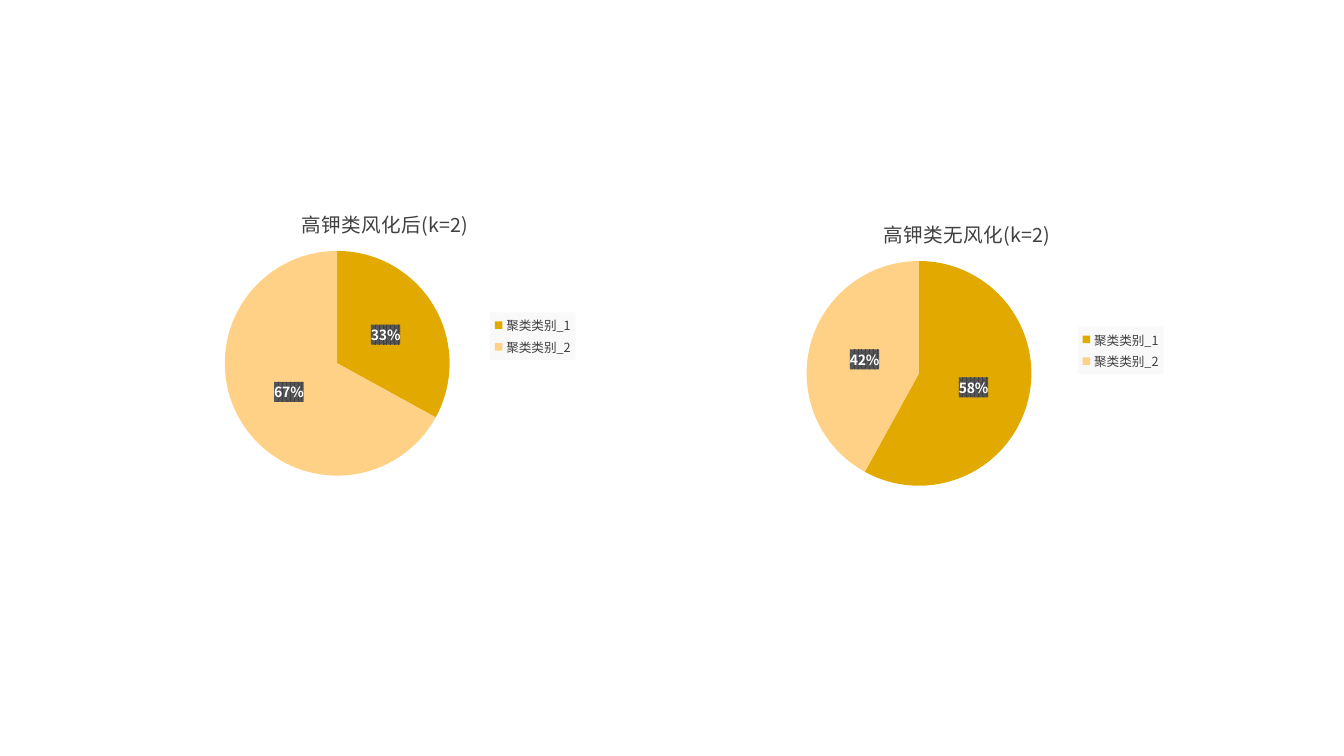
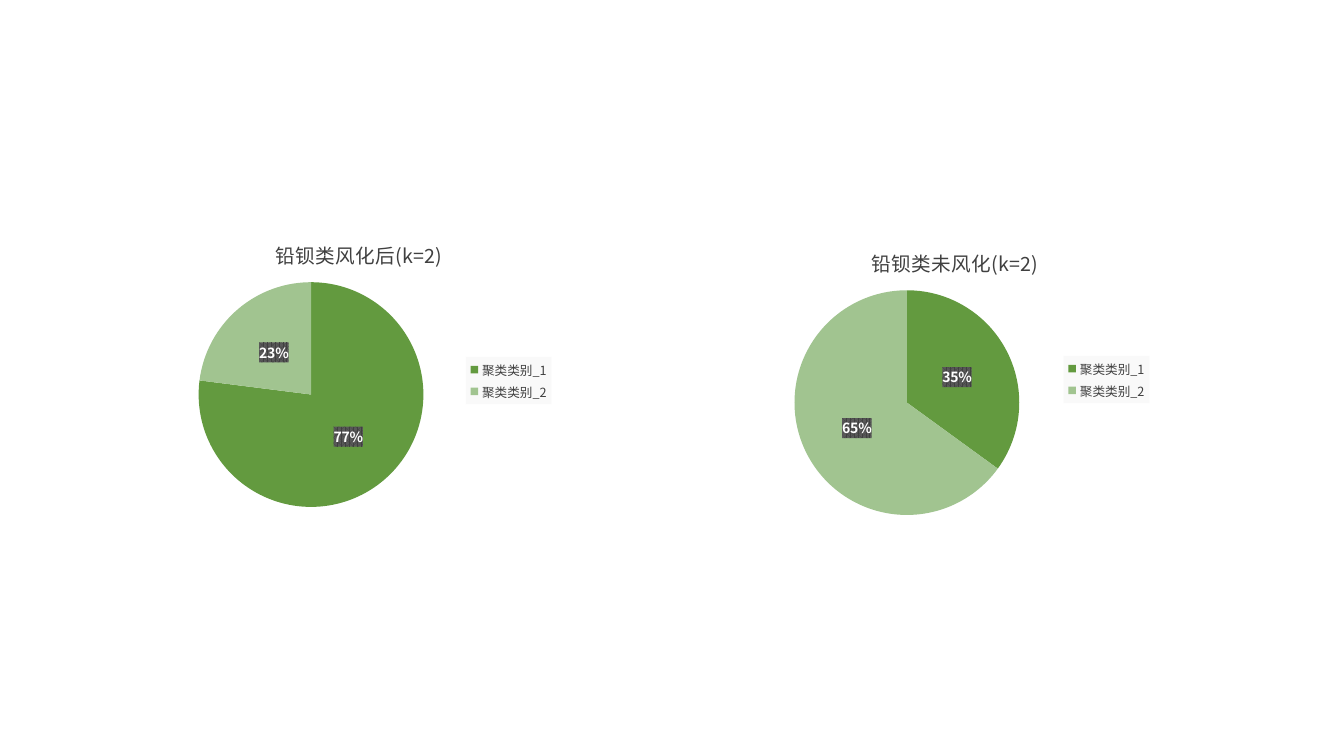
from lxml.etree import SubElement
from pptx import Presentation
from pptx.chart.data import CategoryChartData
from pptx.dml.color import RGBColor
from pptx.enum.chart import XL_CHART_TYPE, XL_LABEL_POSITION, XL_LEGEND_POSITION
from pptx.oxml import parse_xml
from pptx.oxml.ns import nsdecls, qn
from pptx.util import Inches, Pt

FONT = "Noto Sans CJK SC"
COLORS = {
    "text": "404040",
    "label": "FFFFFF",
    "label_back": "595959",
    "legend_back": "F9F9F9",
    "gold": "E2AA00",
    "light_gold": "FFD187",
    "green": "639A3F",
    "light_green": "A1C490",
}
CLUSTERS = ("聚类类别_1", "聚类类别_2")

# Chart: title, percentages, left and top on the slide, legend's left and top in the chart
SLIDES = [
    {
        "slices": ("gold", "light_gold"),
        "charts": [
            ("高钾类风化后(k=2)", (33, 67), (1.33, 1.86), (3.53, 1.24)),
            ("高钾类无风化(k=2)", (58, 42), (7.1, 1.96), (3.59, 1.28)),
        ],
    },
    {
        "slices": ("green", "light_green"),
        "charts": [
            ("铅钡类风化后(k=2)", (77, 23), (1.07, 2.17), (3.55, 1.37)),
            ("铅钡类未风化(k=2)", (35, 65), (6.98, 2.25), (3.57, 1.28)),
        ],
    },
]

CHART_W, CHART_H = 5, 3
PIE_AT, PIE_SIZE = (0.9, 0.63), (2.23, 2.23)
TITLE_AT = (1.63, 0.16)
LEGEND_SIZE = (0.85, 0.47)


def rgb(name):
    return RGBColor.from_string(COLORS[name])


def style(font, size, color, bold=False):
    font.name, font.size, font.bold = FONT, Pt(size), bold
    font.color.rgb = rgb(color)


def manual_layout(at, size=(), inner=False):
    """Layout element for a chart part, given in inches from the chart's corner."""
    layout = parse_xml(f"<c:layout {nsdecls('c')}><c:manualLayout/></c:layout>")
    settings = [("layoutTarget", "inner")] if inner else []
    settings += [("xMode", "edge"), ("yMode", "edge")]
    lengths = (*at, *size)
    shares = [length / (CHART_W, CHART_H)[i % 2] for i, length in enumerate(lengths)]
    settings += [(key, f"{share:.4f}") for key, share in zip("xywh", shares)]
    for key, value in settings:
        SubElement(layout[0], qn(f"c:{key}")).set("val", value)
    return layout


def place(part, layout):
    """Give a title or legend its layout, which must stand before its overlay."""
    for old in part.findall(qn("c:layout")):
        part.remove(old)
    part.find(qn("c:overlay")).addprevious(layout)


def back_fill(part, fill):
    """Fill behind a legend or labels, which must stand before their text style."""
    properties = parse_xml(f"<c:spPr {nsdecls('c', 'a')}>{fill}<a:ln><a:noFill/></a:ln></c:spPr>")
    part.find(qn("c:txPr")).addprevious(properties)


def add_pie(slide, slices, title, percentages, at, legend_at):
    data = CategoryChartData()
    data.categories = CLUSTERS
    data.add_series("Series 1", percentages)
    box = [Inches(length) for length in (*at, CHART_W, CHART_H)]
    chart = slide.shapes.add_chart(XL_CHART_TYPE.PIE, *box, data).chart
    chart.font.name, chart.font.size = FONT, Pt(10)

    heading = chart.chart_title
    heading.text_frame.text = title
    style(heading.text_frame.paragraphs[0].runs[0].font, 14, "text")
    place(heading._element, manual_layout(TITLE_AT))

    chart.has_legend = True
    legend = chart.legend
    legend.position = XL_LEGEND_POSITION.RIGHT
    legend.include_in_layout = False
    style(legend.font, 9, "text")
    place(legend._element, manual_layout(legend_at, LEGEND_SIZE))
    back_fill(
        legend._element,
        f'<a:solidFill><a:srgbClr val="{COLORS["legend_back"]}"/></a:solidFill>',
    )

    pie = chart.plots[0]
    for index, color in enumerate(slices):
        fill = pie.series[0].points[index].format.fill
        fill.solid()
        fill.fore_color.rgb = rgb(color)

    pie.has_data_labels = True
    labels = pie.data_labels
    labels.show_percentage, labels.show_value = True, False
    labels.number_format, labels.number_format_is_linked = "0%", False
    labels.position = XL_LABEL_POSITION.CENTER
    style(labels.font, 10, "label", bold=True)
    back_fill(
        labels._element,
        f'<a:pattFill prst="pct75"><a:fgClr><a:srgbClr val="{COLORS["text"]}"/></a:fgClr>'
        f'<a:bgClr><a:srgbClr val="{COLORS["label_back"]}"/></a:bgClr></a:pattFill>',
    )

    plot_area = chart._chartSpace.find(f".//{qn('c:plotArea')}")
    for old in plot_area.findall(qn("c:layout")):
        plot_area.remove(old)
    plot_area.insert(0, manual_layout(PIE_AT, PIE_SIZE, inner=True))

    for latin in list(chart._chartSpace.iter(qn("a:latin"))):
        latin.addnext(parse_xml(f'<a:ea {nsdecls("a")} typeface="{FONT}"/>'))


def main():
    deck = Presentation()
    deck.slide_width, deck.slide_height = Inches(13.33), Inches(7.5)
    blank = deck.slide_layouts[6]
    for content in SLIDES:
        slide = deck.slides.add_slide(blank)
        for chart in content["charts"]:
            add_pie(slide, content["slices"], *chart)
    deck.save("out.pptx")


if __name__ == "__main__":
    main()
